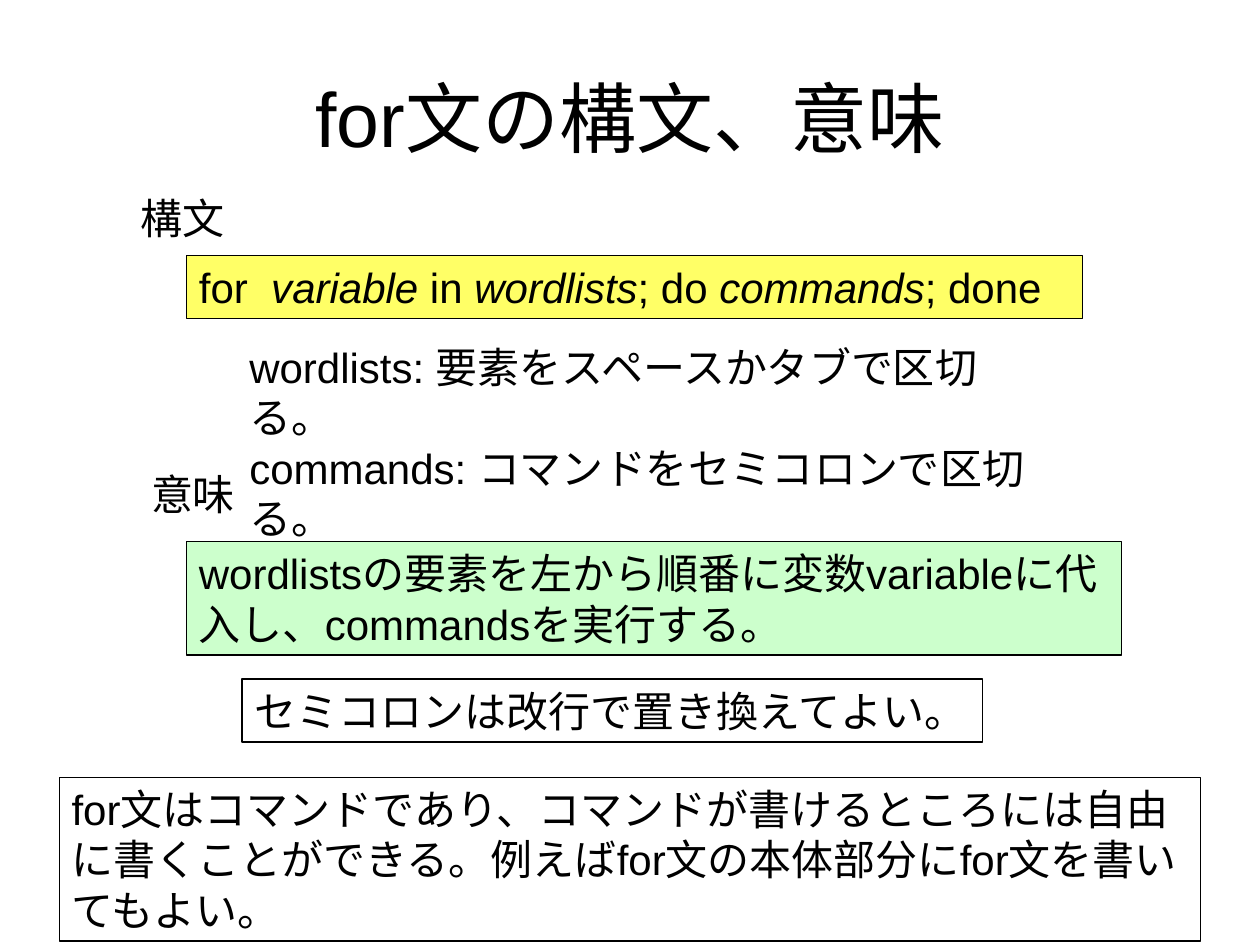
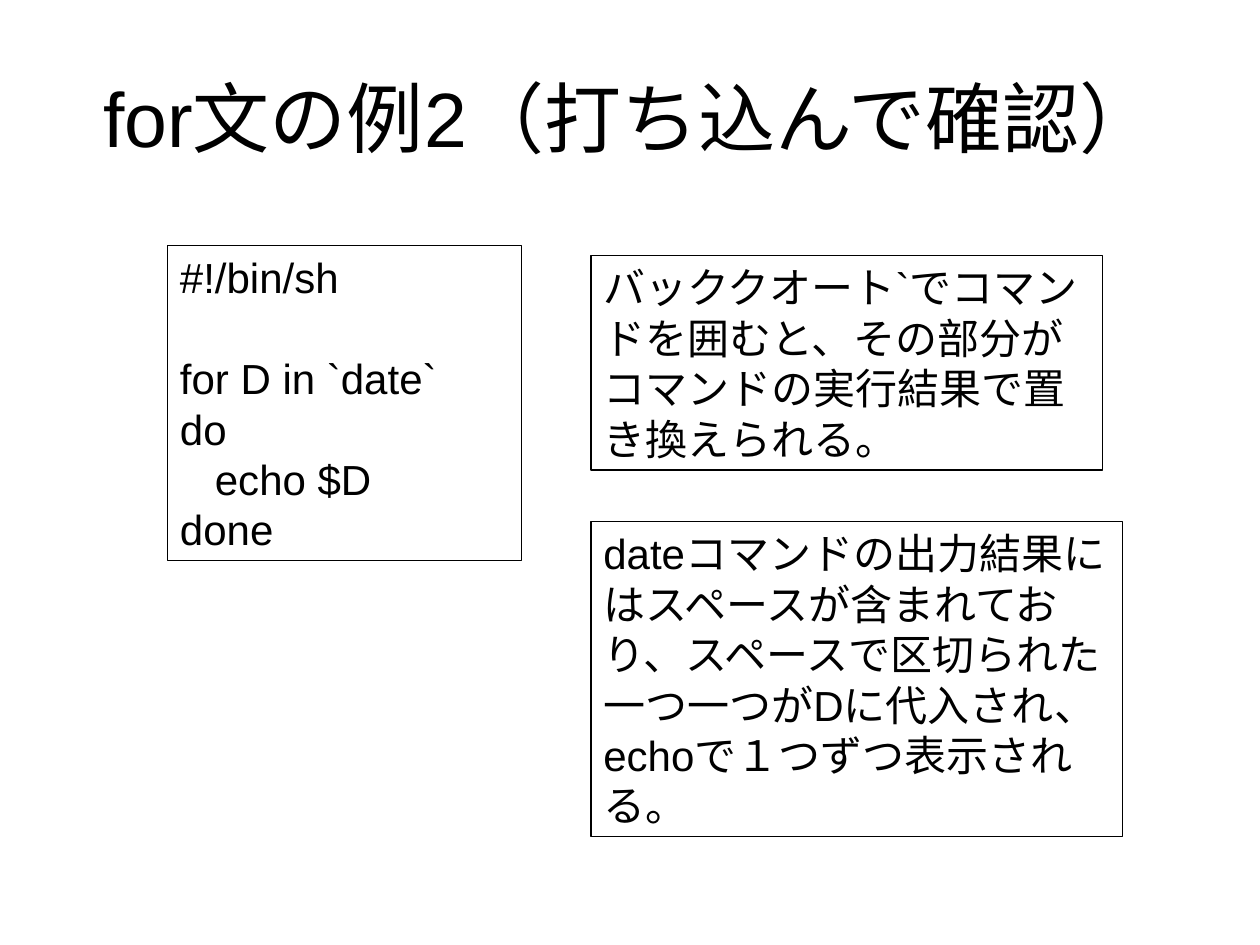
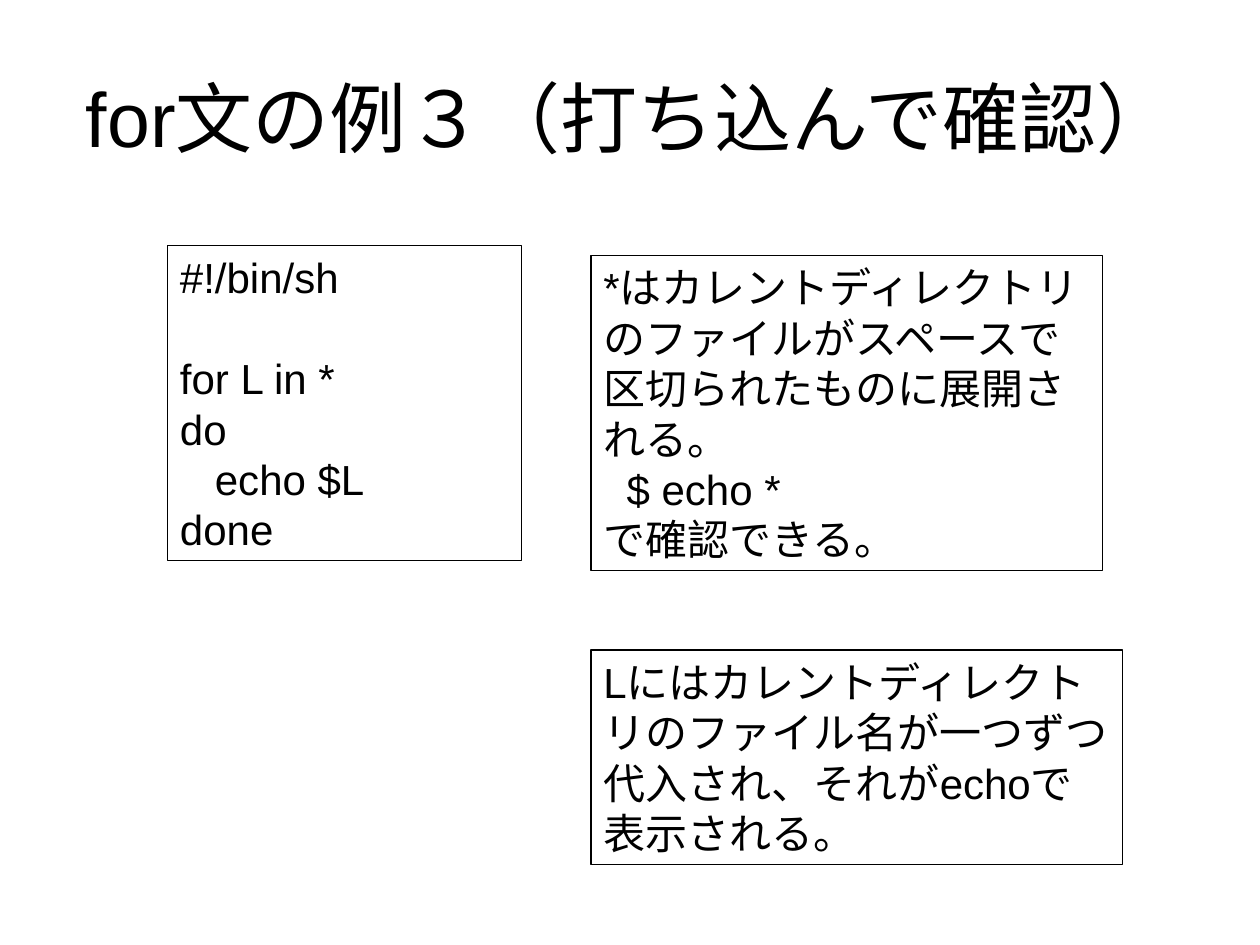
from lxml.etree import SubElement
from pptx import Presentation
from pptx.dml.color import RGBColor
from pptx.enum.text import MSO_ANCHOR, MSO_AUTO_SIZE, PP_ALIGN
from pptx.oxml.ns import qn
from pptx.util import Inches, Pt

COLORS = {"text": "000000", "line": "000000", "syntax": "FFFF66", "meaning": "CCFFCC"}
FONT = "Arial"
LEADING = 1.2
TITLE_SIZE, BODY_SIZE = 44, 24
LINE_HEIGHT = BODY_SIZE * LEADING / 72
PAD_X, PAD_Y = 0.1, 0.05
LABEL_WIDTH = 0.88
CODE = (1.33, 1.95, 2.81)
UPPER_NOTE = (4.69, 2.03, 4.06)
NOTE_LEFT, NOTE_WIDTH = 4.69, 4.22


def loop_code(variable, words):
    return ["#!/bin/sh", "", f"for {variable} in {words}", "do", f"   echo ${variable}", "done"]


SLIDES = [
    ("for文の構文、意味", [
        {"at": (1.48, 2.03, 7.11), "lines": 1, "fill": "syntax", "border": True,
         "text": [("for  ", "variable", " in ", "wordlists", "; do ", "commands", "; done")]},
        {"at": (1.02, 1.48, LABEL_WIDTH), "lines": 1, "wrap": False, "text": ["構文"]},
        {"at": (1.1, 3.67, LABEL_WIDTH), "lines": 1, "wrap": False, "text": ["意味"]},
        {"at": (1.48, 4.3, 7.42), "lines": 2, "fill": "meaning", "border": True,
         "text": ["wordlistsの要素を左から順番に変数variableに代入し、commandsを実行する。"]},
        {"at": (1.88, 2.66, 6.48), "lines": 3,
         "text": ["wordlists: 要素をスペースかタブで区切る。",
                  "commands: コマンドをセミコロンで区切る。"]},
        {"at": (1.92, 5.39, 5.88), "lines": 1, "wrap": False, "border": True,
         "text": ["セミコロンは改行で置き換えてよい。"]},
        {"at": (0.47, 6.17, 9.06), "lines": 3, "border": True,
         "text": ["for文はコマンドであり、コマンドが書けるところには自由に書くことができる。"
                  "例えばfor文の本体部分にfor文を書いてもよい。"]},
    ]),
    ("for文の例2（打ち込んで確認）", [
        {"at": CODE, "lines": 6, "border": True, "text": loop_code("D", "`date`")},
        {"at": (NOTE_LEFT, 4.14, NOTE_WIDTH), "lines": 6, "border": True,
         "text": ["dateコマンドの出力結果にはスペースが含まれており、スペースで区切られた"
                  "一つ一つがDに代入され、echoで１つずつ表示される。"]},
        {"at": UPPER_NOTE, "lines": 4, "border": True,
         "text": ["バッククオート`でコマンドを囲むと、その部分がコマンドの実行結果で置き換えられる。"]},
    ]),
    ("for文の例３（打ち込んで確認）", [
        {"at": CODE, "lines": 6, "border": True, "text": loop_code("L", "*")},
        {"at": (NOTE_LEFT, 5.16, NOTE_WIDTH), "lines": 4, "border": True,
         "text": ["Lにはカレントディレクトリのファイル名が一つずつ代入され、それがechoで表示される。"]},
        {"at": UPPER_NOTE, "lines": 6, "border": True,
         "text": ["*はカレントディレクトリのファイルがスペースで区切られたものに展開される。",
                  "  $ echo *", "で確認できる。"]},
    ]),
]


def color(name):
    return RGBColor.from_string(COLORS[name])


def set_attrs(target, values):
    for name, value in values.items():
        setattr(target, name, value)


def add_run(p, text, size, italic=False):
    r = p.add_run()
    r.text = text
    set_attrs(r.font, {"name": FONT, "size": Pt(size), "italic": italic})
    r.font.color.rgb = color("text")
    SubElement(r._r.get_or_add_rPr(), qn("a:ea"), typeface=FONT)


def write(tf, paragraphs, size, align):
    leading = Pt(size * LEADING)
    p, gap = tf.paragraphs[0], 0
    for i, parts in enumerate(paragraphs):
        if not parts:
            gap += leading
            continue
        if i:
            p = tf.add_paragraph()
        set_attrs(p, {"alignment": align, "line_spacing": leading,
                      "space_before": Pt(0) + gap, "space_after": Pt(0)})
        p._p.get_or_add_pPr().set("hangingPunct", "0")
        gap = 0
        parts = (parts,) if isinstance(parts, str) else parts
        for j, text in enumerate(parts):
            add_run(p, text, size, italic=j % 2 == 1)


def add_title(s, text):
    sp = s.shapes.title
    set_attrs(sp, {"left": Inches(0.5), "top": Inches(0.3),
                   "width": Inches(9), "height": Inches(1.25)})
    set_attrs(sp.text_frame, {"auto_size": MSO_AUTO_SIZE.NONE, "word_wrap": True,
                              "vertical_anchor": MSO_ANCHOR.MIDDLE})
    write(sp.text_frame, [text], TITLE_SIZE, PP_ALIGN.CENTER)


def add_box(s, box):
    height = box["lines"] * LINE_HEIGHT + 2 * PAD_Y
    sp = s.shapes.add_textbox(*map(Inches, (*box["at"], height)))
    if "fill" in box:
        sp.fill.solid()
        sp.fill.fore_color.rgb = color(box["fill"])
    if box.get("border"):
        sp.line.color.rgb = color("line")
        sp.line.width = Pt(0.75)
    set_attrs(sp.text_frame, {
        "word_wrap": box.get("wrap", True), "vertical_anchor": MSO_ANCHOR.TOP,
        "margin_left": Inches(PAD_X), "margin_right": Inches(PAD_X),
        "margin_top": Inches(PAD_Y), "margin_bottom": Inches(PAD_Y)})
    write(sp.text_frame, box["text"], BODY_SIZE, PP_ALIGN.LEFT)


def main():
    prs = Presentation()
    set_attrs(prs, {"slide_width": Inches(10), "slide_height": Inches(7.5)})
    for title, boxes in SLIDES:
        s = prs.slides.add_slide(prs.slide_layouts.get_by_name("Title Only"))
        add_title(s, title)
        for box in boxes:
            add_box(s, box)
    prs.save("out.pptx")


if __name__ == "__main__":
    main()
